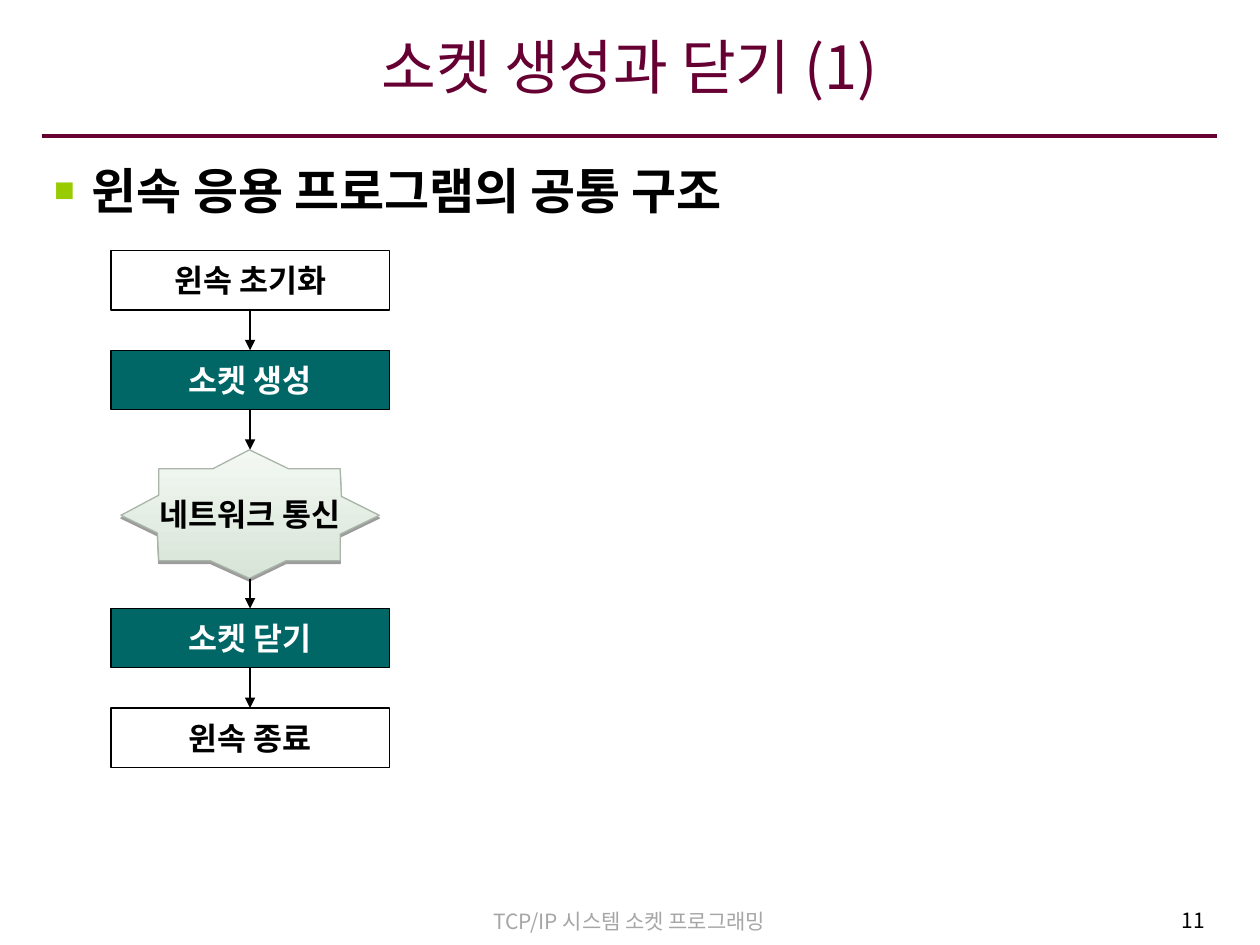
from lxml import etree
from pptx import Presentation
from pptx.dml.color import RGBColor
from pptx.enum import shapes, text
from pptx.oxml import ns
from pptx.util import Inches, Pt

FONT = "Noto Sans CJK KR"
LATIN_FONT = "Arial"
PLUM = RGBColor(0x66, 0x00, 0x33)
TEAL = RGBColor(0x00, 0x66, 0x66)
LIME = RGBColor(0x99, 0xCC, 0x00)
GRAY = RGBColor(0xA6, 0xA6, 0xA6)
BLACK = RGBColor(0x00, 0x00, 0x00)
WHITE = RGBColor(0xFF, 0xFF, 0xFF)
STAR_LINE = RGBColor(0xA9, 0xB5, 0xA9)
STAR_BOTTOM = RGBColor(0xD7, 0xE4, 0xD7)
STAR_TOP = RGBColor(0xF3, 0xF8, 0xF3)

CENTER, RIGHT = text.PP_ALIGN.CENTER, text.PP_ALIGN.RIGHT
MIDDLE = text.MSO_ANCHOR.MIDDLE

STAR_POINTS = [
    (0, 0.52), (0.29, 0.66), (0.3, 0.88), (0.71, 0.88), (1.02, 1.02),
    (1.31, 0.88), (1.74, 0.88), (1.74, 0.67), (2.05, 0.52), (1.75, 0.37),
    (1.74, 0.15), (1.33, 0.15), (1.02, 0), (0.73, 0.15), (0.3, 0.15),
    (0.3, 0.36),
]


def add_xml(parent, tag, **attributes):
    element = etree.SubElement(parent, ns.qn(tag))
    for name, value in attributes.items():
        element.set(name, str(value))
    return element


def write(shape, words, size, color, align=None, bold=False, font=FONT, **frame_format):
    """Put one formatted paragraph in the shape and return the paragraph."""
    frame = shape.text_frame
    for name, value in frame_format.items():
        setattr(frame, name, value)
    paragraph = frame.paragraphs[0]
    paragraph.alignment = align
    run = paragraph.add_run()
    run.text = words
    for name, value in {"size": Pt(size), "bold": bold, "name": font}.items():
        setattr(run.font, name, value)
    run.font.color.rgb = color
    add_xml(run.font._element, "a:ea", typeface=FONT)
    return paragraph


def place(shape, left, top, width, height):
    box = {"left": left, "top": top, "width": width, "height": height}
    for name, value in box.items():
        setattr(shape, name, Inches(value))


def add_line(slide, start, end, color, width, arrow=False):
    points = [Inches(value) for value in (*start, *end)]
    line = slide.shapes.add_connector(shapes.MSO_CONNECTOR.STRAIGHT, *points)
    line.line.color.rgb = color
    line.line.width = Pt(width)
    if arrow:
        add_xml(line.line._get_or_add_ln(), "a:tailEnd", type="triangle")
    add_xml(line._element.spPr, "a:effectLst")


def add_header(slide, left, top, width, height):
    title = slide.shapes.title
    place(title, left, top, width, height)
    write(title, "소켓 생성과 닫기 (1)", 34, PLUM, CENTER,
          vertical_anchor=MIDDLE, auto_size=text.MSO_AUTO_SIZE.NONE,
          margin_left=Inches(0.08), margin_right=Inches(0.08),
          margin_bottom=Inches(0.16))
    rule_y = top + height + 0.08
    add_line(slide, (left, rule_y), (left + width, rule_y), PLUM, 2.25)


def add_body(slide, left, top, width, height):
    body = slide.placeholders[1]
    place(body, left, top, width, height)
    paragraph = write(body, "윈속 응용 프로그램의 공통 구조", 28, BLACK, bold=True,
                      auto_size=text.MSO_AUTO_SIZE.NONE)
    paragraph.space_before = Pt(7)
    properties = paragraph._p.get_or_add_pPr()
    properties.set("marL", str(Inches(0.3)))
    properties.set("indent", str(Inches(-0.3)))
    add_xml(add_xml(properties, "a:buClr"), "a:srgbClr", val=LIME)
    add_xml(properties, "a:buSzPct", val=70000)
    add_xml(properties, "a:buFont", typeface=LATIN_FONT)
    add_xml(properties, "a:buChar", char="■")


def add_step(slide, words, left, top, width, height, fill=None):
    box = slide.shapes.add_shape(shapes.MSO_SHAPE.RECTANGLE, 0, 0, 0, 0)
    place(box, left, top, width, height)
    box.shadow.inherit = False
    if fill is None:
        box.fill.background()
    else:
        box.fill.solid()
        box.fill.fore_color.rgb = fill
    box.line.color.rgb = BLACK
    box.line.width = Pt(0.75)
    write(box, words, 18, WHITE if fill else BLACK, CENTER, bold=True,
          vertical_anchor=MIDDLE, word_wrap=False)


def add_star(slide, words, left, top):
    points = [(Inches(left + x), Inches(top + y)) for x, y in STAR_POINTS]
    builder = slide.shapes.build_freeform(*points[0])
    builder.add_line_segments(points[1:], close=True)
    star = builder.convert_to_shape()
    star.fill.gradient()
    star.fill.gradient_angle = 90
    for stop, color, position in zip(star.fill.gradient_stops,
                                     (STAR_BOTTOM, STAR_TOP), (0, 1)):
        stop.color.rgb = color
        stop.position = position
    star.line.color.rgb = STAR_LINE
    star.line.width = Pt(0.75)
    effects = add_xml(star._element.spPr, "a:effectLst")
    shadow = add_xml(effects, "a:outerShdw", blurRad=0, dist=Pt(1.6),
                     dir=90 * 60000, rotWithShape=0)
    add_xml(add_xml(shadow, "a:srgbClr", val=BLACK), "a:alpha", val=38000)
    write(star, words, 18, BLACK, CENTER, bold=True, font=LATIN_FONT,
          vertical_anchor=MIDDLE, word_wrap=False)


def add_flow(slide, left, top, width):
    """Stack the steps with an arrow from each one to the next."""
    box_height, gap, star_height, star_gap = 0.47, 0.32, 1.02, 0.24
    center = left + width / 2
    steps = [
        ("윈속 초기화", None, box_height, gap),
        ("소켓 생성", TEAL, box_height, gap),
        ("네트워크 통신", None, star_height, star_gap),
        ("소켓 닫기", TEAL, box_height, gap),
        ("윈속 종료", None, box_height, 0),
    ]
    for words, fill, height, space in steps:
        bottom = top + height
        if space:
            add_line(slide, (center, bottom), (center, bottom + space),
                     BLACK, 0.75, arrow=True)
        if height == star_height:
            add_star(slide, words, left + 0.08, top)
        else:
            add_step(slide, words, left, top, width, height, fill)
        top = bottom + space


def add_footer(slide, left, top, width, height):
    footer = slide.shapes.add_textbox(0, 0, 0, 0)
    place(footer, left + 2.54, top + 0.01, 4.25, 0.3)
    write(footer, "TCP/IP 시스템 소켓 프로그래밍", 12, GRAY, CENTER, word_wrap=True)
    number = slide.shapes.add_textbox(0, 0, 0, 0)
    place(number, left + width - 2.12, top, 2.12, height)
    write(number, "11", 12, BLACK, RIGHT, word_wrap=True)


def main():
    presentation = Presentation()
    presentation.slide_width = Inches(10)
    presentation.slide_height = Inches(7.5)
    slide = presentation.slides.add_slide(presentation.slide_layouts[1])
    add_header(slide, 0.33, 0.15, 9.33, 0.85)
    add_body(slide, 0.33, 1.22, 9.33, 5.86)
    add_flow(slide, 0.88, 1.99, 2.21)
    add_footer(slide, 0.33, 7.15, 9.33, 0.33)
    presentation.save("out.pptx")


if __name__ == "__main__":
    main()
